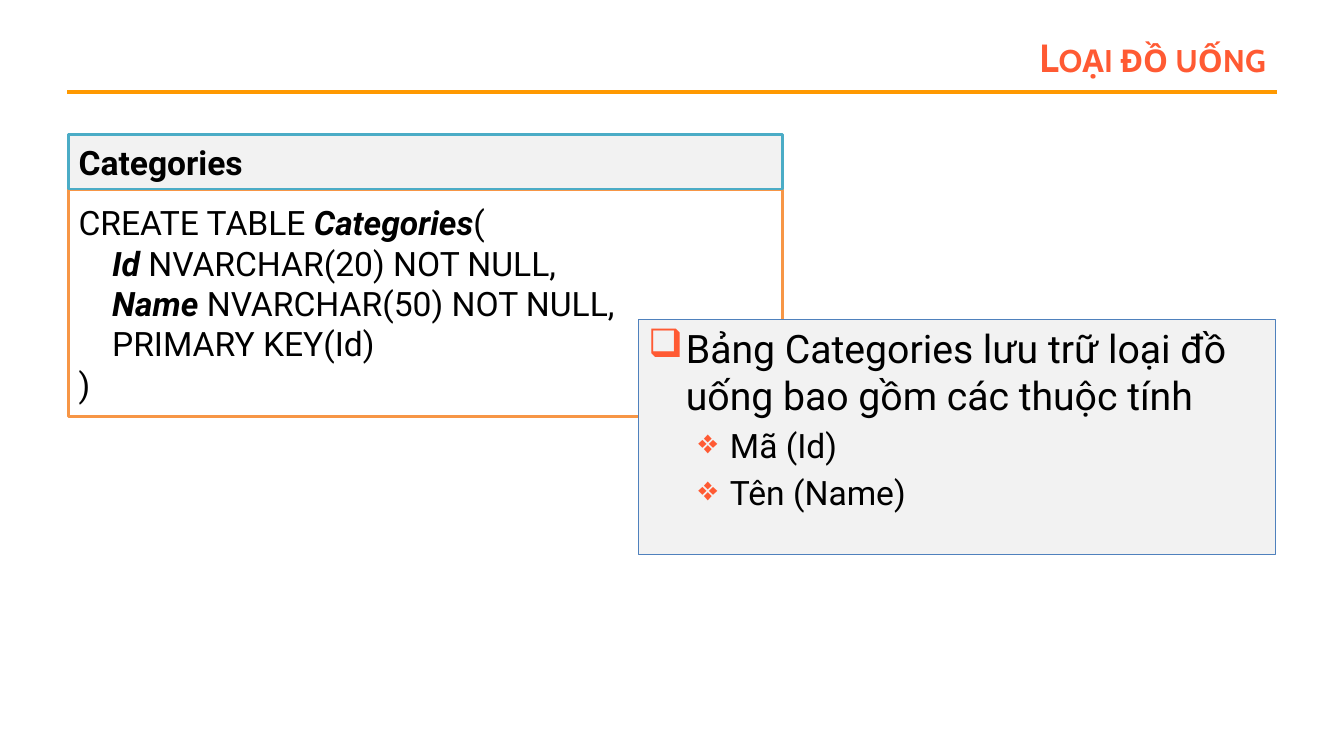
from lxml import etree
from pptx import Presentation
from pptx.dml.color import RGBColor
from pptx.enum.shapes import MSO_CONNECTOR, MSO_SHAPE
from pptx.enum.text import MSO_ANCHOR, MSO_AUTO_SIZE, PP_ALIGN
from pptx.oxml.ns import qn
from pptx.util import Pt

RECTANGLE = MSO_SHAPE.RECTANGLE
STRAIGHT = MSO_CONNECTOR.STRAIGHT
TOP, MIDDLE = MSO_ANCHOR.TOP, MSO_ANCHOR.MIDDLE
LEFT, RIGHT = PP_ALIGN.LEFT, PP_ALIGN.RIGHT
NO_AUTOFIT = MSO_AUTO_SIZE.NONE


class Theme:
    accent = RGBColor.from_string("FF5A33")
    rule = RGBColor.from_string("FF9900")
    code_border = RGBColor.from_string("F79646")
    header_border = RGBColor.from_string("4BACC6")
    explanation_border = RGBColor.from_string("4F81BD")
    panel = RGBColor.from_string("F2F2F2")
    white = RGBColor.from_string("FFFFFF")
    text = RGBColor.from_string("000000")
    title_font, body_font = "Cabin", "Roboto"
    large, medium = 28, 24


def add_panel(left, top, width, height, fill, border, border_width, anchor):
    panel = slide.shapes.add_shape(RECTANGLE, Pt(left), Pt(top), Pt(width), Pt(height))
    panel.shadow.inherit = False
    panel.fill.solid()
    panel.fill.fore_color.rgb = fill
    panel.line.color.rgb = border
    panel.line.width = Pt(border_width)
    panel.text_frame.word_wrap = True
    panel.text_frame.vertical_anchor = anchor
    return panel.text_frame


def style_run(run, size, color=Theme.text, font=Theme.body_font, bold=False, italic=False):
    run.font.name = font
    run.font.size = Pt(size)
    run.font.color.rgb = color
    run.font.bold = bold
    run.font.italic = italic


prs = Presentation()
prs.slide_width, prs.slide_height = Pt(960), Pt(540)
slide = prs.slides.add_slide(prs.slide_layouts[5])

# Title in small capitals
title = slide.shapes.title
title.left, title.top, title.width, title.height = Pt(175.7), Pt(21.6), Pt(735.8), Pt(38.2)
title.text_frame.text = "Loại đồ uống"
title.text_frame.vertical_anchor = MIDDLE
title.text_frame.auto_size = NO_AUTOFIT
title_line = title.text_frame.paragraphs[0]
title_line.alignment = RIGHT
style_run(title_line.runs[0], Theme.large, Theme.accent, Theme.title_font, bold=True)
title_line.runs[0]._r.get_or_add_rPr().set("cap", "small")

# Rule under the title
rule = slide.shapes.add_connector(STRAIGHT, Pt(48), Pt(66), Pt(912), Pt(66))
rule.line.color.rgb = Theme.rule
rule.line.width = Pt(3)
etree.SubElement(rule._element.spPr, qn("a:effectLst"))

# SQL code: indent in points, then pieces as (text, emphasised)
code_lines = [
    (0, [("CREATE TABLE ", False), ("Categories", True), ("(", False)]),
    (24, [("Id", True), (" NVARCHAR(20) NOT NULL,", False)]),
    (24, [("Name", True), (" NVARCHAR(50) NOT NULL,", False)]),
    (24, [("PRIMARY KEY(Id)", False)]),
    (0, [(")", False)]),
]
code = add_panel(49, 135.4, 509.8, 162, Theme.white, Theme.code_border, 2, MIDDLE)
for index, (indent, pieces) in enumerate(code_lines):
    line = code.add_paragraph() if index else code.paragraphs[0]
    line.alignment = LEFT
    line._p.get_or_add_pPr().set("marL", str(Pt(indent)))
    for text, emphasised in pieces:
        piece = line.add_run()
        piece.text = text
        style_run(piece, Theme.medium, bold=emphasised, italic=emphasised)

# Table name above the code
header = add_panel(49, 96, 509.8, 39, Theme.panel, Theme.header_border, 2, MIDDLE)
header.text = "Categories"
header.paragraphs[0].alignment = LEFT
style_run(header.paragraphs[0].runs[0], Theme.medium, bold=True)

# Explanation: text, level, size, bullet, left margin, hanging indent
points = [
    ("Bảng Categories lưu trữ loại đồ uống bao gồm các thuộc tính", 0, Theme.large, "❑", 27, 27),
    ("Mã (Id)", 1, Theme.medium, "❖", 58.5, 22.5),
    ("Tên (Name)", 1, Theme.medium, "❖", 58.5, 22.5),
]
explanation = add_panel(455.8, 228.2, 455, 167.8, Theme.panel, Theme.explanation_border, 0.75, TOP)
for index, (text, level, size, bullet, margin, hanging) in enumerate(points):
    point = explanation.add_paragraph() if index else explanation.paragraphs[0]
    point.text = text
    point.level = level
    point.alignment = LEFT
    point.space_before = Pt(size * 0.2)
    style_run(point.runs[0], size)
    properties = point._p.get_or_add_pPr()
    properties.set("marL", str(Pt(margin)))
    properties.set("indent", str(-Pt(hanging)))
    bullet_color = etree.SubElement(properties, qn("a:buClr"))
    etree.SubElement(bullet_color, qn("a:srgbClr"), val=str(Theme.accent))
    etree.SubElement(properties, qn("a:buChar"), char=bullet)

prs.save("out.pptx")
